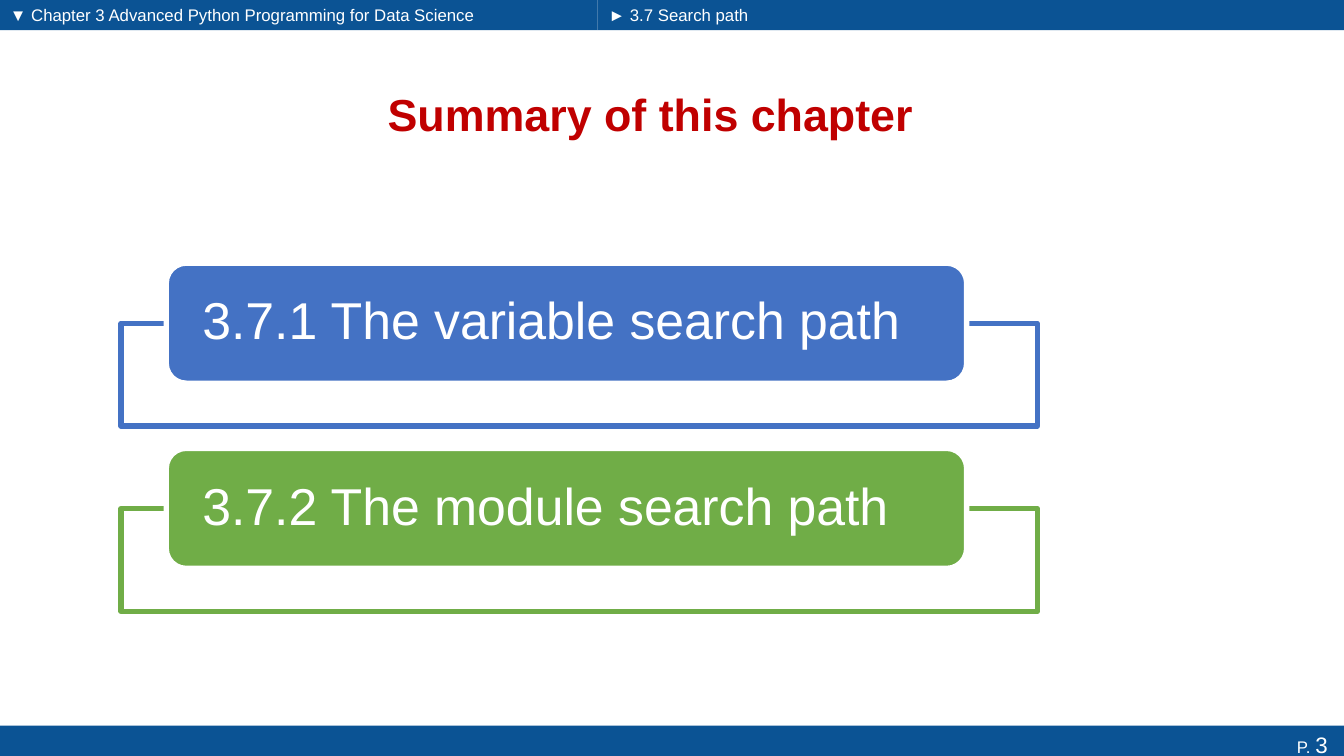
from pptx import Presentation
from pptx.dml.color import RGBColor
from pptx.enum.shapes import MSO_SHAPE
from pptx.enum.text import MSO_ANCHOR, PP_ALIGN
from pptx.util import Pt

RECT, ROUND = MSO_SHAPE.RECTANGLE, MSO_SHAPE.ROUNDED_RECTANGLE
TOP, MID = MSO_ANCHOR.TOP, MSO_ANCHOR.MIDDLE
LEFT, MIDDLE, RIGHT = PP_ALIGN.LEFT, PP_ALIGN.CENTER, PP_ALIGN.RIGHT

THEME = {
    "font": "Arial",
    "bar": RGBColor(0x0B, 0x53, 0x94),
    "title": RGBColor(0xC0, 0x00, 0x00),
    "white": RGBColor(0xFF, 0xFF, 0xFF),
    "blue": RGBColor(0x44, 0x72, 0xC4),
    "green": RGBColor(0x70, 0xAD, 0x47),
    "small": Pt(12),
    "page": Pt(16),
    "head": Pt(32),
    "card": Pt(37),
}

deck = Presentation()
deck.slide_width, deck.slide_height = Pt(960), Pt(540)
slide = deck.slides.add_slide(deck.slide_layouts[6])


def add_box(kind, area, fill, line=None):
    """Add a flat shape; without a line colour it has no outline."""
    box = slide.shapes.add_shape(kind, *map(Pt, area))
    box.shadow.inherit = False
    box.fill.solid()
    box.fill.fore_color.rgb = fill
    if line is None:
        box.line.fill.background()
    else:
        box.line.color.rgb = line
        box.line.width = Pt(3.78)
    return box


def write(box, runs, color, align=LEFT, bold=False, **frame):
    """Fill a box with one paragraph of (text, size) runs."""
    text = box.text_frame
    for key, value in {"word_wrap": True, **frame}.items():
        setattr(text, key, value)
    para = text.paragraphs[0]
    para.alignment = align
    for words, size in runs:
        run = para.add_run()
        run.text = words
        look = {"name": THEME["font"], "size": size, "bold": bold}
        for key, value in look.items():
            setattr(run.font, key, value)
        run.font.color.rgb = color
    return para


# Header and footer bars
split, bar = 426.9, 21.6
add_box(RECT, (0, 0, split, bar), THEME["bar"])
foot = add_box(RECT, (0, 518.4, 960, 26.6), THEME["bar"])
write(foot, [("P. ", THEME["small"]), ("3", THEME["page"])], THEME["white"],
      RIGHT, vertical_anchor=MID, margin_right=Pt(11.6))
add_box(RECT, (split, 0, 960 - split, bar), THEME["bar"])

# Title and header labels
title = slide.shapes.add_textbox(Pt(180.7), Pt(49), Pt(568), Pt(64.8))
write(title, [("Summary of this chapter", THEME["head"])], THEME["title"],
      MIDDLE, bold=True, vertical_anchor=MID)
labels = [
    ("▼ Chapter 3 Advanced Python Programming for Data Science", 0, 348),
    ("► 3.7 Search path", 427.7, 185),
]
for words, left, width in labels:
    label = slide.shapes.add_textbox(Pt(left), 0, Pt(width), Pt(20.9))
    write(label, [(words, THEME["small"])], THEME["white"],
          vertical_anchor=TOP)

# Section cards, each over its own frame
cards = [
    ("3.7.1 The variable search path", THEME["blue"]),
    ("3.7.2 The module search path", THEME["green"]),
]
for row, (words, color) in enumerate(cards):
    top = 188 + row * 132.3
    add_box(RECT, (86.4, top + 43, 654.5, 73.4), THEME["white"], color)
    card = add_box(ROUND, (118.8, top, 571.7, 85.7), color, THEME["white"])
    para = write(card, [(words, THEME["card"])], THEME["white"],
                 vertical_anchor=MID, margin_left=Pt(21.6),
                 margin_right=Pt(21.6), margin_top=0, margin_bottom=0)
    para.line_spacing = 0.9

deck.save("out.pptx")
